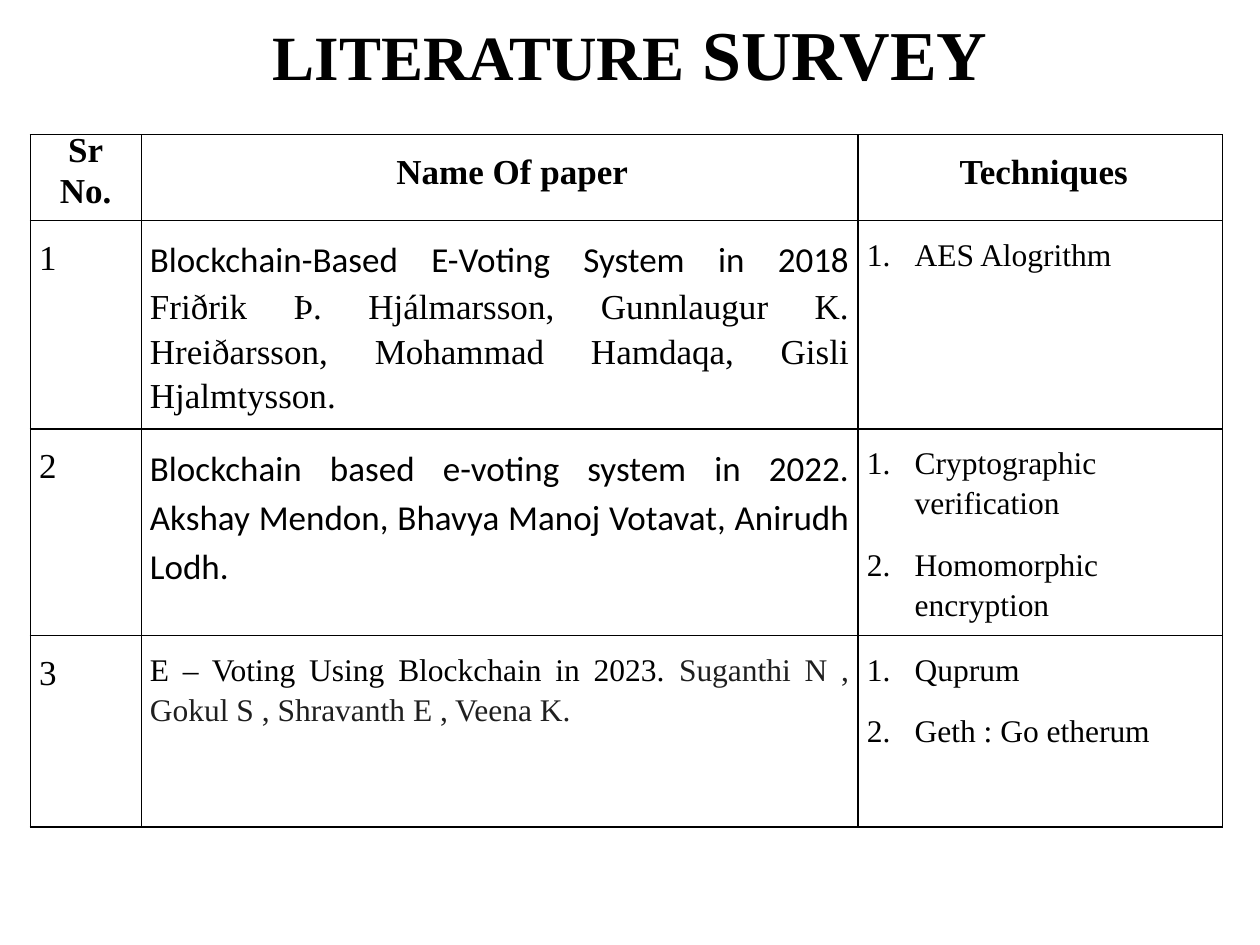
from dataclasses import dataclass

from lxml.etree import SubElement
from pptx import Presentation
from pptx.dml.color import RGBColor
from pptx.enum.text import MSO_ANCHOR, PP_ALIGN
from pptx.oxml.ns import qn
from pptx.util import Inches, Pt


@dataclass(frozen=True)
class Theme:
    serif: str = "Times New Roman"
    sans: str = "Calibri"
    black: RGBColor = RGBColor(0, 0, 0)
    grey: RGBColor = RGBColor(0x1F, 0x1F, 0x1F)
    title: int = 36
    title_large: int = 40
    body: int = 20
    small: int = 18
    border: float = 0.75


@dataclass(frozen=True)
class Span:
    text: str
    font: str | None = None
    color: RGBColor | None = None


@dataclass(frozen=True)
class Paper:
    citation: tuple[Span, ...]
    techniques: tuple[str, ...]
    size: int
    font: str


@dataclass(frozen=True)
class Heading:
    lines: tuple[str, ...]
    spacing: float = 1.15
    indent: float = 0


T = Theme()
COLUMNS = (0.88, 5.69, 2.89)
ROWS = (0.68, 1.61, 1.62, 1.52)
HEADINGS = (
    Heading(("Sr", "No."), spacing=0.5),
    Heading(("Name Of paper",), indent=0.2),
    Heading(("Techniques",), indent=0.06),
)
PAPERS = (
    Paper(
        (Span("Blockchain-Based E-Voting System in 2018 ", font=T.sans),
         Span("Friðrik Þ. Hjálmarsson, Gunnlaugur K. Hreiðarsson, "
              "Mohammad Hamdaqa, Gisli Hjalmtysson.")),
        ("AES Alogrithm",), T.body, T.serif),
    Paper(
        (Span("Blockchain based e-voting system in 2022. Akshay Mendon, "
              "Bhavya Manoj Votavat, Anirudh Lodh."),),
        ("Cryptographic verification", "Homomorphic encryption"),
        T.body, T.sans),
    Paper(
        (Span("E – Voting Using Blockchain in 2023. "),
         Span("Suganthi N , Gokul S , Shravanth E , Veena K.", color=T.grey)),
        ("Quprum", "Geth : Go etherum"), T.small, T.serif),
)


def style_font(font, size: int, name: str = T.serif, bold: bool = False) -> None:
    font.size, font.name, font.bold = Pt(size), name, bold
    font.color.rgb = T.black


def style_cell(cell) -> None:
    cell.margin_left = cell.margin_right = Inches(0.07)
    cell.margin_top = cell.margin_bottom = Inches(0.1)
    tc_pr = cell._tc.get_or_add_tcPr()
    for side in ("a:lnL", "a:lnR", "a:lnT", "a:lnB"):
        ln = SubElement(tc_pr, qn(side), w=str(Pt(T.border)))
        fill = SubElement(ln, qn("a:solidFill"))
        SubElement(fill, qn("a:srgbClr"), val=str(T.black))
    cell.fill.background()


def write_cell(cell, paragraphs: list[tuple[Span, ...]], size: int,
               font: str = T.serif, bold: bool = False,
               align: PP_ALIGN = PP_ALIGN.JUSTIFY, spacing: float = 1.15,
               indent: float = 0, numbered: bool = False) -> None:
    tf = cell.text_frame
    for i, spans in enumerate(paragraphs):
        p = tf.paragraphs[0] if i == 0 else tf.add_paragraph()
        p.alignment, p.line_spacing = align, spacing
        p.space_before = Pt(12 if i else 0)
        p_pr = p._p.get_or_add_pPr()
        if indent:
            p_pr.set("marL", str(Inches(indent)))
        if numbered:
            p_pr.set("indent", str(-Inches(indent)))
            SubElement(p_pr, qn("a:buAutoNum"), type="arabicPeriod")
        style_font(p.font, size, font, bold)
        for span in spans:
            r = p.add_run()
            r.text = span.text
            if span.font:
                r.font.name = span.font
            if span.color is not None:
                r.font.color.rgb = span.color


def add_title(slide) -> None:
    sp = slide.shapes.title
    sp.left, sp.top = Inches(0.69), Inches(0.11)
    sp.width, sp.height = Inches(8.62), Inches(0.7)
    tf = sp.text_frame
    tf.vertical_anchor = MSO_ANCHOR.MIDDLE
    p = tf.paragraphs[0]
    p.alignment, p.line_spacing = PP_ALIGN.CENTER, 0.9
    style_font(p.font, T.title, bold=True)
    for text, size in (("LITERATURE", T.title), (" SURVEY", T.title_large)):
        r = p.add_run()
        r.text = text
        r.font.size = Pt(size)


def add_survey_table(slide) -> None:
    table = slide.shapes.add_table(
        len(ROWS), len(COLUMNS), Inches(0.24), Inches(1.07),
        Inches(sum(COLUMNS)), Inches(sum(ROWS))).table
    table.first_row = table.horz_banding = False
    for column, width in zip(table.columns, COLUMNS):
        column.width = Inches(width)
    for row, height in zip(table.rows, ROWS):
        row.height = Inches(height)
    for cell in table.iter_cells():
        style_cell(cell)

    for col, heading in enumerate(HEADINGS):
        write_cell(table.cell(0, col), [(Span(line),) for line in heading.lines],
                   T.body, bold=True, align=PP_ALIGN.CENTER,
                   spacing=heading.spacing, indent=heading.indent)
    for row, paper in enumerate(PAPERS, start=1):
        write_cell(table.cell(row, 0), [(Span(str(row)),)], T.body)
        write_cell(table.cell(row, 1), [paper.citation], paper.size, paper.font)
        write_cell(table.cell(row, 2), [(Span(name),) for name in paper.techniques],
                   T.small, indent=0.38, numbered=True)


def main() -> None:
    prs = Presentation()
    prs.slide_width, prs.slide_height = Inches(10), Inches(7.5)
    slide = prs.slides.add_slide(prs.slide_layouts[5])
    add_title(slide)
    add_survey_table(slide)
    prs.save("out.pptx")


if __name__ == "__main__":
    main()
